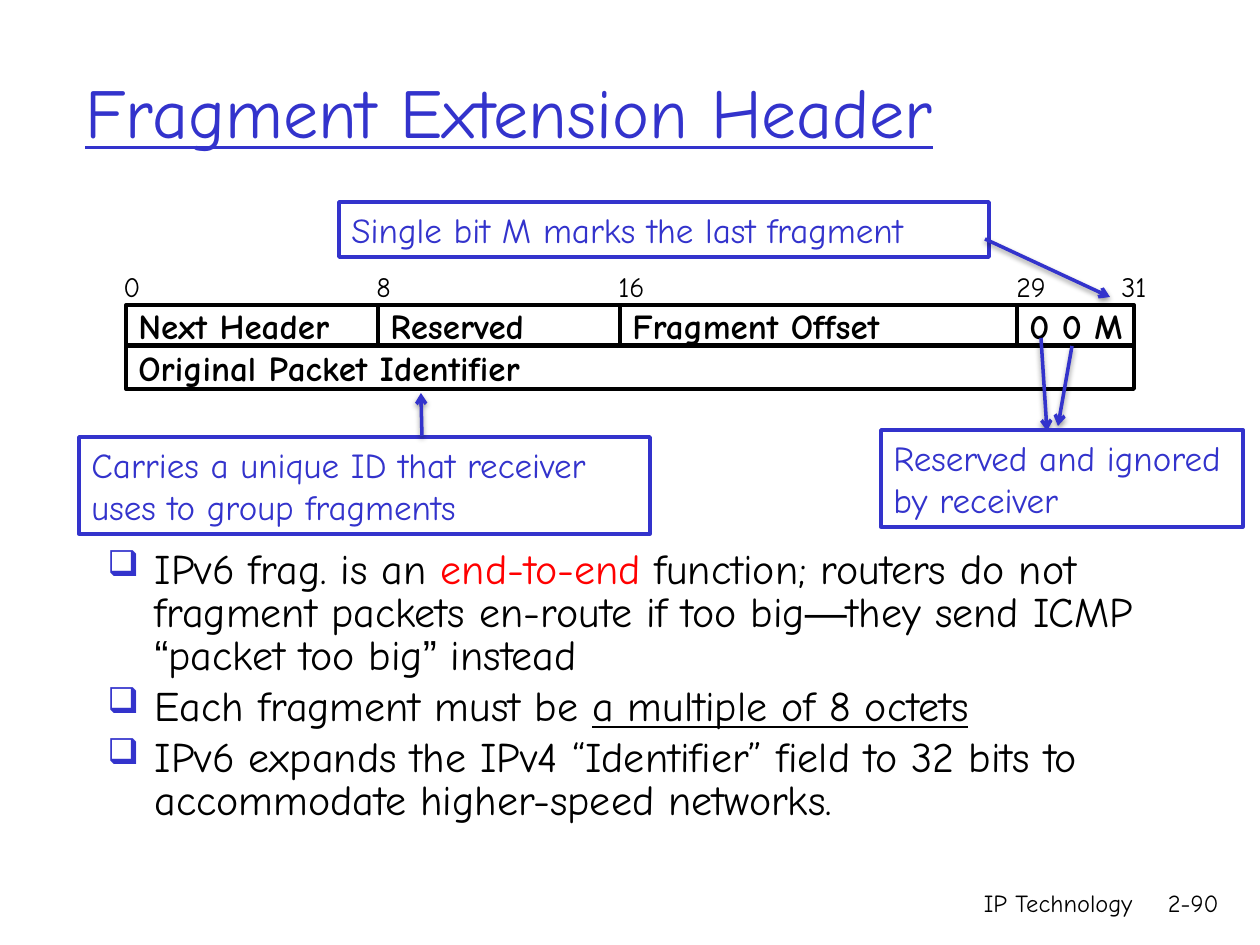
from lxml.etree import SubElement
from pptx import Presentation
from pptx.dml.color import RGBColor
from pptx.enum.shapes import MSO_CONNECTOR, MSO_SHAPE
from pptx.enum.text import MSO_ANCHOR, MSO_AUTO_SIZE, PP_ALIGN
from pptx.oxml.ns import qn
from pptx.util import Pt

SCALE = 914400 / 126
FONT = "Comic Neue"
BLUE = RGBColor(0x33, 0x33, 0xCC)
BLACK = RGBColor(0, 0, 0)
WHITE = RGBColor(255, 255, 255)
RED = RGBColor(255, 0, 0)


def px(*sizes):
    return [round(size * SCALE) for size in sizes]


def add_run(para, text, size, color=BLACK, face=FONT, bold=False, line=False):
    run = para.add_run()
    run.text = text
    font = run.font
    font.name, font.size, font.bold = face, Pt(size), bold
    font.underline = line
    font.color.rgb = color


def add_text(slide, area, text, size, color=BLACK, align=PP_ALIGN.LEFT, line=False):
    box = slide.shapes.add_textbox(*px(*area))
    frame = box.text_frame
    frame.word_wrap = True
    para = frame.paragraphs[0]
    para.alignment = align
    add_run(para, text, size, color, line=line)
    return frame


def add_box(slide, area, text, color, width):
    box = slide.shapes.add_shape(MSO_SHAPE.RECTANGLE, *px(*area))
    box.shadow.inherit = False
    box.line.color.rgb = color
    box.line.width = Pt(width)
    para = box.text_frame.paragraphs[0]
    para.alignment = PP_ALIGN.LEFT
    add_run(para, text, 20, color, bold=color == BLACK)
    return box


def add_field(slide, area, text):
    box = add_box(slide, area, text, BLACK, 2.25)
    box.fill.background()
    box.text_frame.word_wrap = False
    box.text_frame.vertical_anchor = MSO_ANCHOR.MIDDLE


def add_note(slide, area, text):
    box = add_box(slide, area, text, BLUE, 2)
    box.fill.solid()
    box.fill.fore_color.rgb = WHITE
    frame = box.text_frame
    frame.word_wrap = True
    frame.vertical_anchor = MSO_ANCHOR.TOP
    frame.auto_size = MSO_AUTO_SIZE.SHAPE_TO_FIT_TEXT


def add_arrow(slide, ends):
    arrow = slide.shapes.add_connector(MSO_CONNECTOR.STRAIGHT, *px(*ends))
    arrow.line.color.rgb = BLUE
    arrow.line.width = Pt(2)
    SubElement(arrow.line._get_or_add_ln(), qn("a:tailEnd"), type="arrow")
    effects = SubElement(arrow._element.spPr, qn("a:effectLst"))
    shadow = SubElement(effects, qn("a:outerShdw"), blurRad=str(Pt(3.1)),
                        dist=str(Pt(1.6)), dir="5400000", rotWithShape="0")
    shade = SubElement(shadow, qn("a:srgbClr"), val=str(BLACK))
    SubElement(shade, qn("a:alpha"), val="38000")


def add_bullet(para):
    props = para._p.get_or_add_pPr()
    props.set("marL", str(Pt(27)))
    props.set("indent", str(-Pt(27)))
    tint = SubElement(props, qn("a:buClr"))
    SubElement(tint, qn("a:srgbClr"), val=str(BLUE))
    SubElement(props, qn("a:buSzPct"), val="85000")
    SubElement(props, qn("a:buChar"), char="❑")


def add_list(slide, area, items):
    frame = slide.shapes.add_textbox(*px(*area)).text_frame
    frame.word_wrap = True
    for index, item in enumerate(items):
        para = frame.add_paragraph() if index else frame.paragraphs[0]
        add_bullet(para)
        para.line_spacing = 0.85
        if index:
            para.space_before = Pt(4.8)
        for text, style in item:
            add_run(para, text, 24, **style)


def main():
    deck = Presentation()
    deck.slide_width, deck.slide_height = px(1260, 945)
    slide = deck.slides.add_slide(deck.slide_layouts[6])

    title = add_text(slide, (73, 32, 1071, 158), "Fragment Extension Header", 40,
                     BLUE, line=True)
    title.vertical_anchor = MSO_ANCHOR.MIDDLE

    plain, arial = {}, {"face": "Arial"}
    add_list(slide, (95, 544, 1071, 348), [
        [("IPv6 frag. is an", plain), (" end-to-end ", {"color": RED}),
         ("function; routers do not fragment packets en-route if too big", plain),
         ("—", arial), ("they send ICMP ", plain), ("“", arial),
         ("packet too big", plain), ("”", arial), (" instead", plain)],
        [("Each fragment must be ", plain),
         ("a multiple of 8 octets", {"line": True})],
        [("IPv6 expands the IPv4 “Identifier” field to 32 bits to "
          "accommodate higher-speed networks.", plain)],
    ])

    edges = [126, 378, 620, 1017, 1134]
    names = ["Next Header", "Reserved", "Fragment Offset", "0 0 M"]
    for left, right, name in zip(edges, edges[1:], names):
        add_field(slide, (left, 305, right - left, 41), name)
    add_field(slide, (126, 345, 1008, 44), "Original Packet Identifier")

    for left, mark in zip((111, 364, 606, 1004, 1109), ("0", "8", "16", "29", "31")):
        add_text(slide, (left, 263, 66, 47), mark, 16)

    add_note(slide, (339, 202, 650, 55), "Single bit M marks the last fragment")
    add_note(slide, (79, 437, 571, 97),
             "Carries a unique ID that receiver uses to group fragments")
    for ends in ((985, 239, 1110, 297), (422, 436, 421, 393),
                 (1041, 338, 1047, 431), (1072, 346, 1058, 426)):
        add_arrow(slide, ends)
    add_note(slide, (881, 430, 362, 97), "Reserved and ignored by receiver")

    add_text(slide, (746, 882, 399, 63), "IP Technology", 14, align=PP_ALIGN.RIGHT)
    add_text(slide, (1131, 882, 100, 63), "2-90", 14, align=PP_ALIGN.RIGHT)
    deck.save("out.pptx")


if __name__ == "__main__":
    main()
